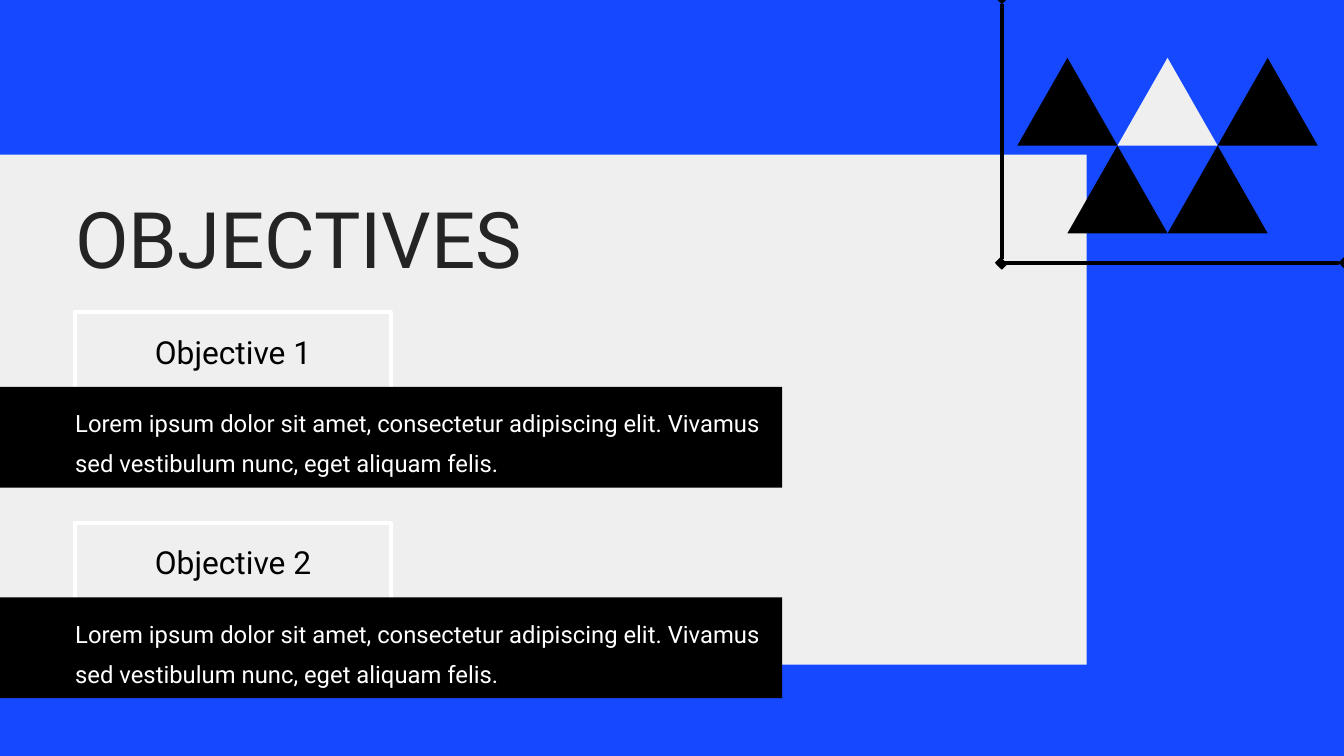
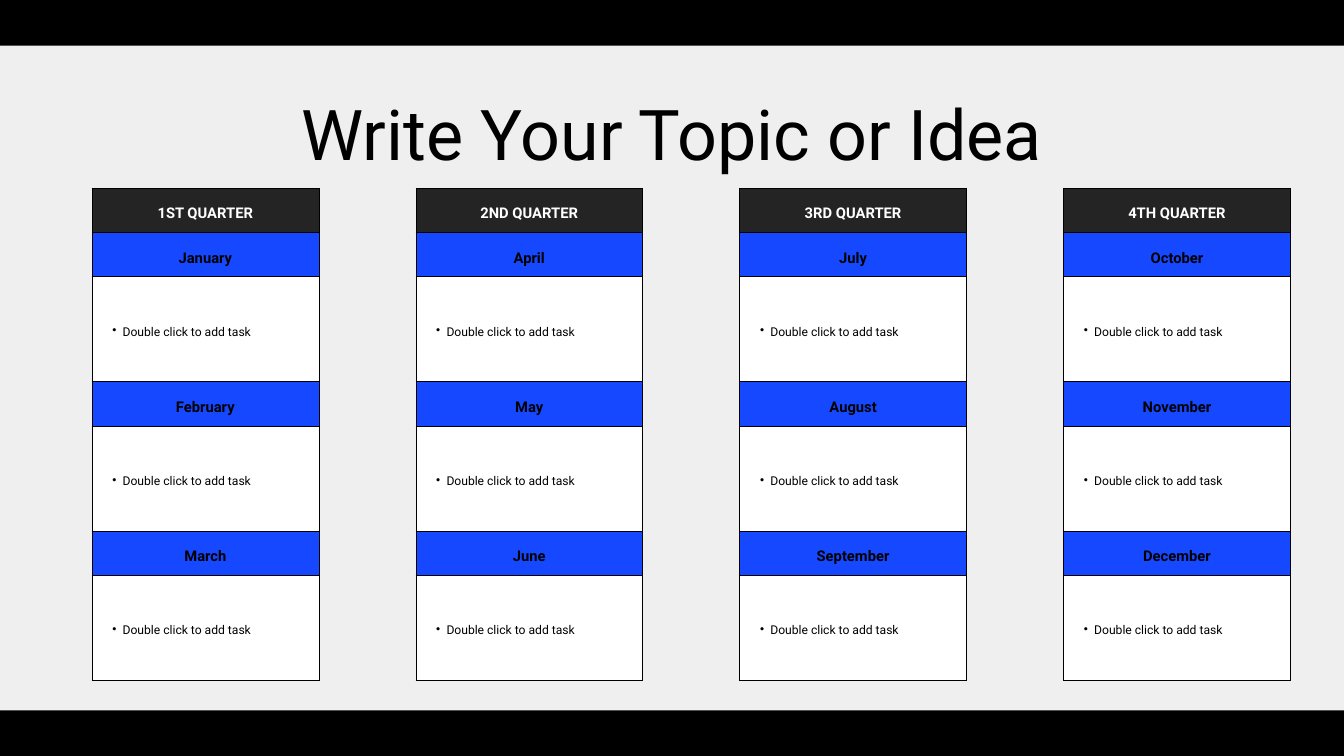
from lxml import etree
from pptx import Presentation
from pptx.dml.color import RGBColor
from pptx.enum.shapes import MSO_CONNECTOR, MSO_SHAPE
from pptx.enum.text import MSO_ANCHOR, MSO_AUTO_SIZE, PP_ALIGN
from pptx.oxml.ns import qn
from pptx.util import Pt

BLUE = RGBColor(0x16, 0x49, 0xFF)
PALE = RGBColor(0xEF, 0xEF, 0xEF)
DARK = RGBColor(0x24, 0x24, 0x24)
BLACK = RGBColor(0, 0, 0)
WHITE = RGBColor(255, 255, 255)
RECT = MSO_SHAPE.RECTANGLE
PEAK = MSO_SHAPE.ISOSCELES_TRIANGLE
LINE = MSO_CONNECTOR.STRAIGHT
LEFT, MID = PP_ALIGN.LEFT, PP_ALIGN.CENTER
CENTRE = MSO_ANCHOR.MIDDLE
GROW = MSO_AUTO_SIZE.SHAPE_TO_FIT_TEXT

WIDE, HIGH = 1440, 810
LOREM = ("Lorem ipsum dolor sit amet, consectetur adipiscing elit. "
         "Vivamus sed vestibulum nunc, eget aliquam felis.")
GOALS = [("Objective 1", LOREM), ("Objective 2", LOREM)]
PEAKS = [(BLACK, PALE, BLACK), (BLACK, BLACK)]
TASK = "Double click to add task"
YEAR = [
    ("1ST QUARTER", ("January", "February", "March")),
    ("2ND QUARTER", ("April", "May", "June")),
    ("3RD QUARTER", ("July", "August", "September")),
    ("4TH QUARTER", ("October", "November", "December")),
]

TITLE = {"size": 83.5, "color": DARK, "space": 0.78}
TOPIC = {"size": 75, "color": BLACK, "space": 1.2, "align": MID}
LABEL = {"size": 34, "color": BLACK, "space": 0.78, "align": MID}
BODY = {"size": 25.5, "color": WHITE, "space": 1.4}
HEAD = {"size": 15.8, "color": WHITE, "space": 1.4, "align": MID, "bold": True}
MONTH = {**HEAD, "color": BLACK}
ITEM = {"size": 13, "color": BLACK, "space": 1.4}

HEAD_H, TASK_H = 46.8, 112.5
SIDES = ("margin_left", "margin_top", "margin_right", "margin_bottom")


def points(*nums):
    return [Pt(n) for n in nums]


def inset(part, gap):
    for side in SIDES:
        setattr(part, side, Pt(gap))


def write(para, words, style):
    para.alignment = style.get("align", LEFT)
    para.line_spacing = style["space"]
    run = para.add_run()
    run.text = words
    look = {"name": "Roboto", "size": Pt(style["size"]),
            "bold": style.get("bold", False)}
    for key, value in look.items():
        setattr(run.font, key, value)
    run.font.color.rgb = style["color"]


def text(slide, box, words, style):
    frame = slide.shapes.add_textbox(*points(*box)).text_frame
    inset(frame, 0)
    frame.word_wrap = True
    frame.auto_size = GROW
    write(frame.paragraphs[0], words, style)


def block(slide, box, fill=None, line=None, kind=RECT):
    shape = slide.shapes.add_shape(kind, *points(*box))
    shape.shadow.inherit = False
    if fill is None:
        shape.fill.background()
    else:
        shape.fill.solid()
        shape.fill.fore_color.rgb = fill
    if line is None:
        shape.line.fill.background()
    else:
        shape.line.color.rgb = line
        shape.line.width = Pt(4.5)


def rule(slide, ends):
    link = slide.shapes.add_connector(LINE, *points(*ends))
    link.line.color.rgb = BLACK
    link.line.width = Pt(4)
    pen = link.line._get_or_add_ln()
    for end in ("a:headEnd", "a:tailEnd"):
        etree.SubElement(pen, qn(end), type="diamond")
    etree.SubElement(link._element.spPr, qn("a:effectLst"))


def border(cell):
    props = cell._tc.get_or_add_tcPr()
    for spot, side in enumerate(("a:lnL", "a:lnR", "a:lnT", "a:lnB")):
        edge = etree.Element(qn(side), w=str(Pt(0.75)))
        fill = etree.SubElement(edge, qn("a:solidFill"))
        etree.SubElement(fill, qn("a:srgbClr"), val=str(BLACK))
        props.insert(spot, edge)


def bullet(para):
    para.level = 1
    props = para._p.get_or_add_pPr()
    props.set("marL", str(Pt(22)))
    props.set("indent", str(Pt(-11)))
    tint = etree.SubElement(props, qn("a:buClr"))
    etree.SubElement(tint, qn("a:srgbClr"), val=str(BLACK))
    etree.SubElement(props, qn("a:buChar"), char="•")


def quarter(slide, left, name, months):
    rows = [(name, HEAD, DARK, HEAD_H)]
    for month in months:
        rows += [(month, MONTH, BLUE, HEAD_H), (TASK, ITEM, WHITE, TASK_H)]
    tall = sum(row[3] for row in rows)
    box = points(left, 201.6, 243, tall)
    table = slide.shapes.add_table(len(rows), 1, *box).table
    table.first_row = table.horz_banding = False
    for spot, (words, style, fill, high) in enumerate(rows):
        table.rows[spot].height = Pt(high)
        cell = table.cell(spot, 0)
        inset(cell, 10.8)
        cell.vertical_anchor = CENTRE
        cell.fill.solid()
        cell.fill.fore_color.rgb = fill
        border(cell)
        para = cell.text_frame.paragraphs[0]
        if style is ITEM:
            bullet(para)
        write(para, words, style)


def page(deck, color):
    slide = deck.slides.add_slide(deck.slide_layouts[6])
    slide.background.fill.solid()
    slide.background.fill.fore_color.rgb = color
    return slide


def goals(deck):
    slide = page(deck, BLUE)
    block(slide, (0, 165.6, 1164.3, 546.5), PALE)
    text(slide, (80.6, 225.4, 810, 74.2), "OBJECTIVES", TITLE)
    for spot, (name, words) in enumerate(GOALS):
        top = 334.6 + spot * 225.5
        block(slide, (80.6, top, 338, 110), line=WHITE)
        block(slide, (0, top + 80, 838, 108), BLACK)
        text(slide, (95, top + 30, 309.6, 31), name, LABEL)
        text(slide, (80.6, top + 91.6, 738.7, 69.8), words, BODY)
    wide, high = 107.3, 94
    for row, fills in enumerate(PEAKS):
        for col, fill in enumerate(fills):
            left = 1090 + (col + row / 2) * wide
            block(slide, (left, 62 + row * high, wide, high), fill, kind=PEAK)
    rule(slide, (1072, 281.5, WIDE, 281.5))
    rule(slide, (1073.5, 283, 1073.5, -1.4))


def plan(deck):
    slide = page(deck, PALE)
    for spot, (name, months) in enumerate(YEAR):
        quarter(slide, 98.6 + spot * 347, name, months)
    band = 48.8
    for top in (0, HIGH - band):
        block(slide, (0, top, WIDE, band), BLACK)
    text(slide, (124.6, 79.2, 1190.8, 91.4), "Write Your Topic or Idea", TOPIC)


def main():
    deck = Presentation()
    deck.slide_width, deck.slide_height = points(WIDE, HIGH)
    goals(deck)
    plan(deck)
    deck.save("out.pptx")


if __name__ == "__main__":
    main()
